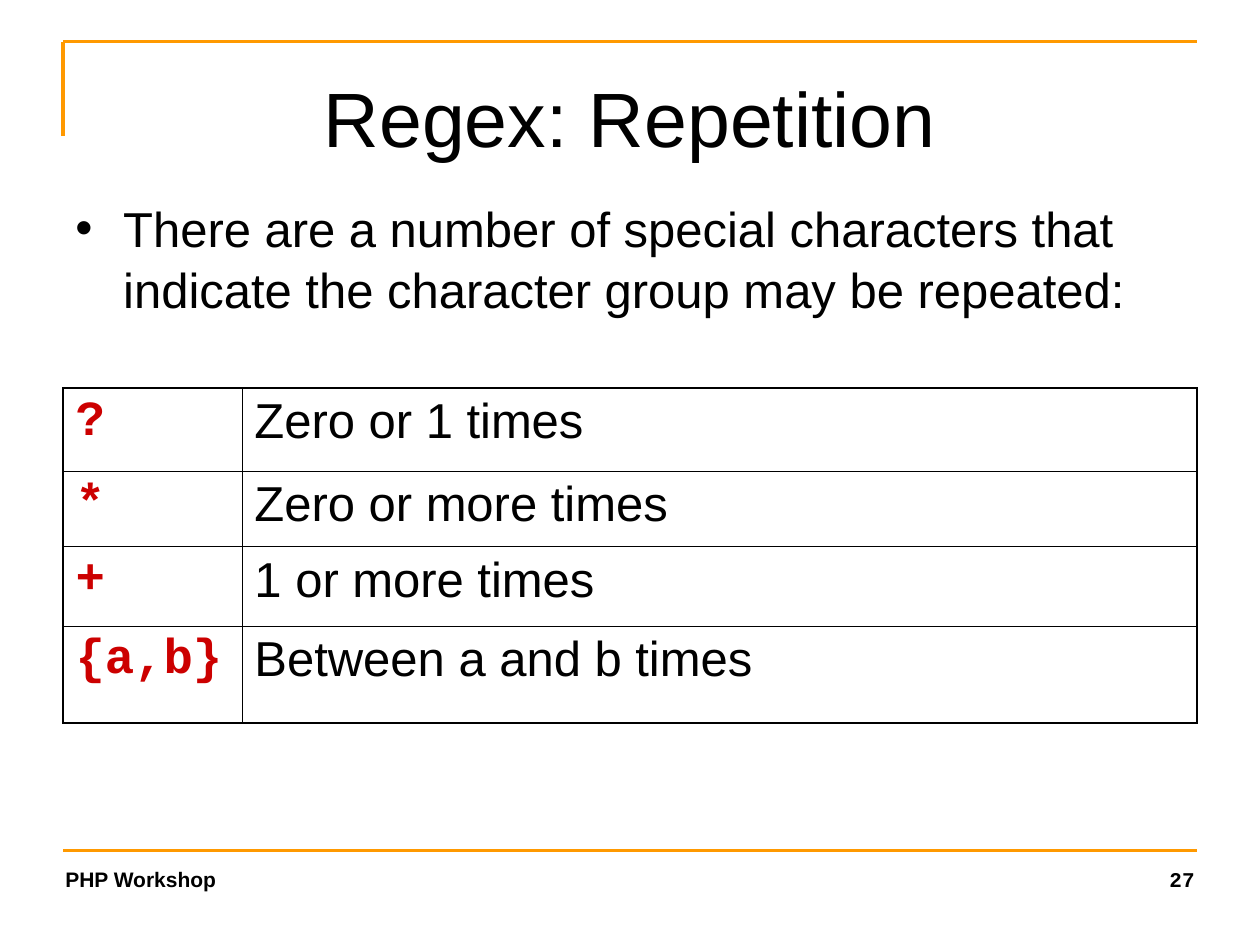
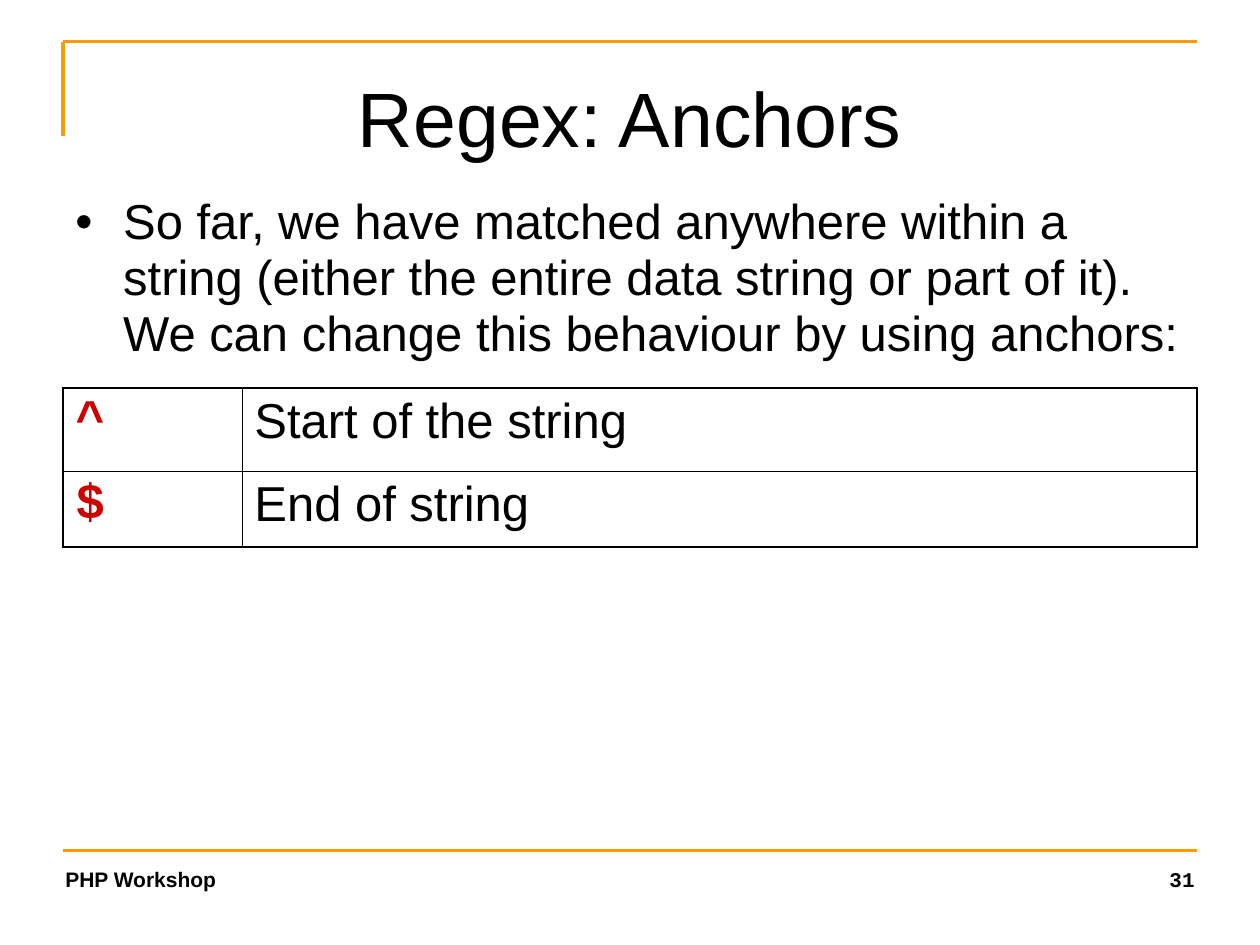
from lxml.etree import SubElement
from pptx import Presentation
from pptx.dml.color import RGBColor
from pptx.enum.shapes import MSO_CONNECTOR as LineKind
from pptx.enum.text import MSO_ANCHOR as Anchor, PP_ALIGN as Align
from pptx.oxml.ns import qn
from pptx.util import Inches, Pt

COLORS = {"rule": "FF9900", "text": "000000", "symbol": "CC0000", "border": "000000"}
FORMATS = {
    "title": {"name": "Arial", "size": Pt(44), "bold": False},
    "body": {"name": "Arial", "size": Pt(28), "bold": False},
    "symbol": {"name": "Courier New", "size": Pt(28), "bold": True},
    "footer": {"name": "Arial", "size": Pt(12), "bold": True},
    "number": {"name": "Courier New", "size": Pt(12), "bold": True},
}
ROW_HEIGHTS = [0.66, 0.6, 0.63, 0.77]
OUTER, INNER = Pt(1.08), Pt(0.45)

SLIDES = [
    {"title": "Regex: Repetition", "number": "27", "spacing": 1.05,
     "intro": "There are a number of special characters that indicate "
              "the character group may be repeated:",
     "rows": [("?", "Zero or 1 times"), ("*", "Zero or more times"),
              ("+", "1 or more times"), ("{a,b}", "Between a and b times")]},
    {"title": "Regex: Anchors", "number": "31", "spacing": 0.95,
     "intro": "So far, we have matched anywhere within a string (either the entire "
              "data string or part of it). We can change this behaviour by using anchors:",
     "rows": [("^", "Start of the string"), ("$", "End of string")]},
]


def write(frame, text, style, align=Align.LEFT):
    """Fill a text frame with one paragraph in a named format."""
    frame.word_wrap = True
    paragraph = frame.paragraphs[0]
    paragraph.alignment = align
    run = paragraph.add_run()
    run.text = text
    for key, value in FORMATS[style].items():
        setattr(run.font, key, value)
    run.font.color.rgb = RGBColor.from_string(COLORS.get(style, COLORS["text"]))
    return paragraph


def draw_border(cell, side, width):
    line = SubElement(cell._tc.get_or_add_tcPr(), qn(f"a:ln{side}"), w=str(width))
    fill = SubElement(line, qn("a:solidFill"))
    SubElement(fill, qn("a:srgbClr"), val=COLORS["border"])


prs = Presentation()
prs.slide_width, prs.slide_height = Inches(10), Inches(7.5)
W, H = prs.slide_width, prs.slide_height
title_only = prs.slide_layouts[5]

left, right = int(W * 0.05), int(W * 0.95)
content_width = right - left
top_rule, bottom_rule = Inches(0.33), int(H * 0.9)
rules = [(left, bottom_rule, right, bottom_rule),
         (left, top_rule, right, top_rule),
         (left, Inches(1.08), left, top_rule)]
footer_inset, footer_top = Inches(0.08), Inches(6.83)
footer_width, footer_height = int(W * 0.25), Inches(0.32)
symbol_width = Inches(1.42)

for content in SLIDES:
    slide = prs.slides.add_slide(title_only)
    shapes = slide.shapes

    for ends in rules:
        rule = shapes.add_connector(LineKind.STRAIGHT, *ends)
        rule.line.color.rgb = RGBColor.from_string(COLORS["rule"])
        rule.line.width = Pt(2)
        SubElement(rule._element.spPr, qn("a:effectLst"))

    for text, style, x, align in [
        ("PHP Workshop", "footer", left - footer_inset, Align.LEFT),
        (content["number"], "number", right + footer_inset - footer_width, Align.RIGHT),
    ]:
        footer = shapes.add_textbox(x, footer_top, footer_width, footer_height)
        write(footer.text_frame, text, style, align)

    title = shapes.title
    title.left, title.top = left, int(H * 0.04)
    title.width, title.height = content_width, Inches(1.25)
    title.text_frame.vertical_anchor = Anchor.MIDDLE
    write(title.text_frame, content["title"], "title", Align.CENTER)

    intro = shapes.add_textbox(left, int(H * 0.2), content_width, Inches(1.42))
    bullet = write(intro.text_frame, content["intro"], "body")
    bullet.line_spacing = content["spacing"]
    properties = bullet._p.get_or_add_pPr()
    properties.set("marL", str(Inches(0.38)))
    properties.set("indent", str(-Inches(0.38)))
    SubElement(properties, qn("a:buFont"), typeface="Arial")
    SubElement(properties, qn("a:buChar"), char="•")

    rows = content["rows"]
    heights = [Inches(height) for height in ROW_HEIGHTS[:len(rows)]]
    table = shapes.add_table(len(rows), 2, left, Inches(3.08),
                             content_width, sum(heights)).table
    table.first_row = table.horz_banding = False
    table.columns[0].width = symbol_width
    table.columns[1].width = content_width - symbol_width
    for r, texts in enumerate(rows):
        table.rows[r].height = heights[r]
        for c, (text, style) in enumerate(zip(texts, ("symbol", "body"))):
            cell = table.cell(r, c)
            write(cell.text_frame, text, style)
            outer_sides = {"L": c == 0, "R": c == 1,
                           "T": r == 0, "B": r == len(rows) - 1}
            for side, is_outer in outer_sides.items():
                draw_border(cell, side, OUTER if is_outer else INNER)
            cell.fill.background()

prs.save("out.pptx")
